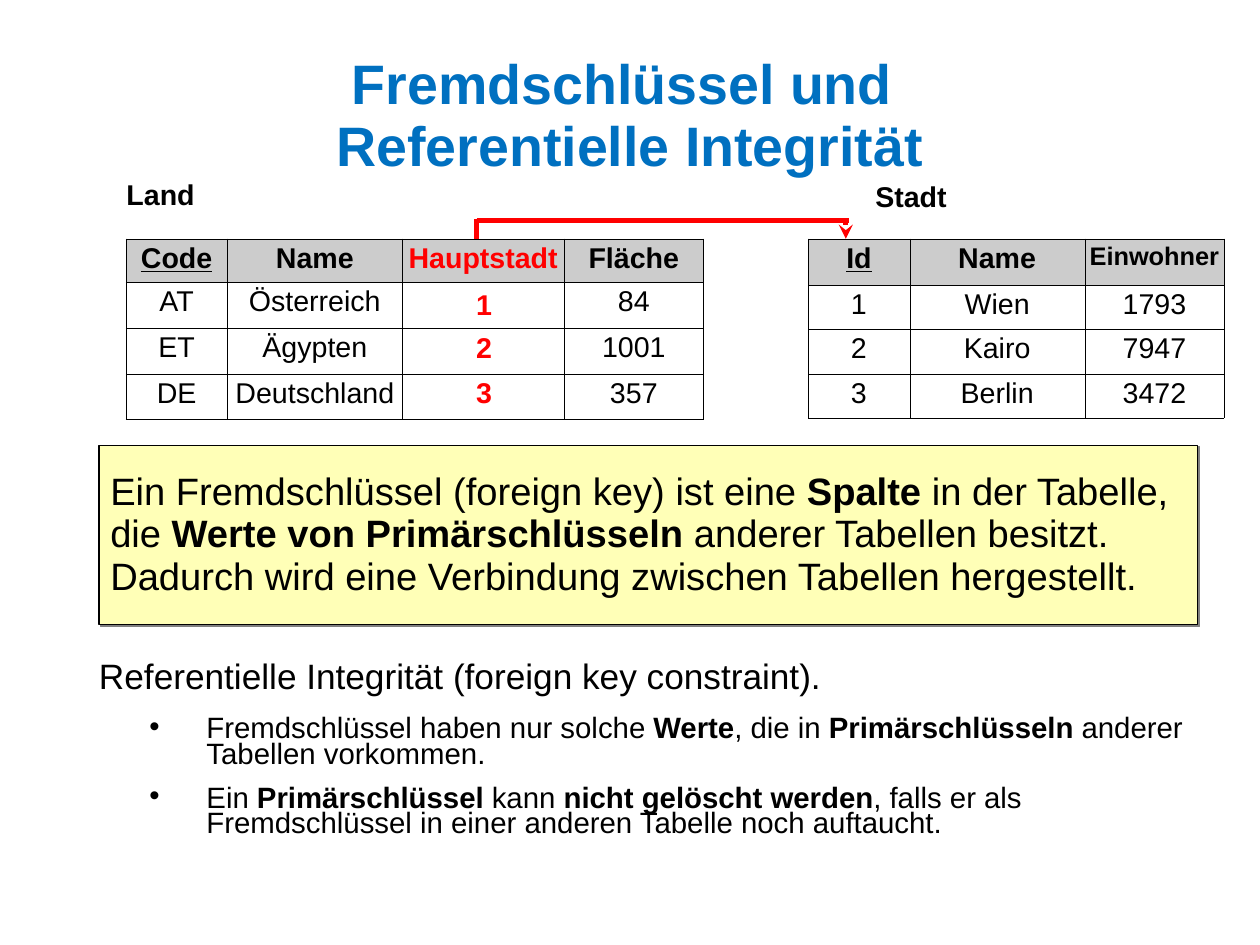
from pptx import Presentation
from pptx.dml.color import RGBColor
from pptx.enum.shapes import MSO_CONNECTOR as LINE, MSO_SHAPE as SHAPE
from pptx.enum.text import MSO_ANCHOR as ANCHOR, MSO_AUTO_SIZE as FIT, PP_ALIGN as ALIGN
from pptx.oxml import parse_xml
from pptx.oxml.ns import nsdecls
from pptx.util import Cm, Inches, Pt

W, H = 28, 21
COL, ROW = W / 100, H / 100
COLORS = {"title": "0070C0", "text": "000000", "key": "FF0000", "head": "CCCCCC",
          "note": "FFFFB7", "shadow": "808080"}

TITLE = "Fremdschlüssel und \vReferentielle Integrität"
NOTE = ("Ein Fremdschlüssel (foreign key) ist eine **Spalte** in der Tabelle, die "
        "**Werte von Primärschlüsseln **anderer Tabellen besitzt. "
        "Dadurch wird eine Verbindung zwischen Tabellen hergestellt.")
RULE_HEAD = "Referentielle Integrität (foreign key constraint)."
RULES = [
    "Fremdschlüssel haben nur solche **Werte**, die in **Primärschlüsseln** "
    "anderer Tabellen vorkommen.",
    "Ein **Primärschlüssel** kann **nicht gelöscht werden**, falls er als "
    "Fremdschlüssel in einer anderen Tabelle noch auftaucht.",
]
LEFT = 7.86
TABLE_TOP = 25.27
WIDTHS = {"Code": 8.04, "Id": 8.04, "Name": 13.9, "Hauptstadt": 12.83,
          "Fläche": 11.07, "Einwohner": 11.07}
HEAD_STYLES = {"Code": {"underline": True}, "Id": {"underline": True},
               "Hauptstadt": {"color": "key"}, "Einwohner": {"size": 16}}
TABLES = [
    (10, (4.6, 4.78), [
        ("Code", "Name", "Hauptstadt", "Fläche"),
        ("AT", "Österreich", "", "84"),
        ("ET", "Ägypten", "", "1001"),
        ("DE", "Deutschland", "", "357")]),
    (64.15, (4.87, 4.7), [
        ("Id", "Name", "Einwohner"),
        ("1", "Wien", "1793"),
        ("2", "Kairo", "7947"),
        ("3", "Berlin", "3472")]),
]
LABELS = [
    ("Land", 9.15, 18.5, 7.5, "text"),
    ("Stadt", 68.58, 18.62, 7.8, "text"),
    ("1", 36.9, 30.15, 3.2, "key"),
    ("2", 36.9, 34.6, 3.2, "key"),
    ("3", 36.9, 39.42, 3.2, "key"),
]
LINK = [
    (37.82, 23.22, 37.82, TABLE_TOP, False),
    (37.82, 23.34, 67.4, 23.34, False),
    (67.13, 23.22, 67.13, TABLE_TOP, True),
]


def rgb(name):
    return RGBColor.from_string(COLORS[name])


def place(x, y, w, h):
    return [Cm(v) for v in (x * COL, y * ROW, w * COL, h * ROW)]


def xml(tag, attrs="", inner=""):
    return parse_xml(f"<a:{tag} {nsdecls('a')} {attrs}>{inner}</a:{tag}>")


def solid(name):
    return f'<a:solidFill><a:srgbClr val="{COLORS[name]}"/></a:solidFill>'


def setup(frame, margins, **props):
    for side, value in zip(("left", "top", "right", "bottom"), margins):
        setattr(frame, f"margin_{side}", Inches(value))
    for name, value in props.items():
        setattr(frame, name, value)


def write(p, text, size=18, color="text", bold=False, underline=False, **props):
    for name, value in {"line_spacing": 0.93, **props}.items():
        setattr(p, name, value)
    for i, part in enumerate(text.split("**")):
        if not part:
            continue
        r = p.add_run()
        r.text = part
        style = {"name": "Arial", "size": Pt(size), "bold": bold or i % 2 == 1,
                 "underline": underline}
        for name, value in style.items():
            setattr(r.font, name, value)
        r.font.color.rgb = rgb(color)


def add_title(s):
    tf = s.shapes.add_textbox(*place(5, 4, 90, 16.7)).text_frame
    setup(tf, (0, 0, 0, 0), word_wrap=True, vertical_anchor=ANCHOR.MIDDLE)
    p = tf.paragraphs[0]
    lines = TITLE.split("\v")
    style = {"size": 35, "color": "title", "bold": True, "alignment": ALIGN.CENTER}
    write(p, lines[0], **style)
    p.add_line_break()
    write(p, lines[1], **style)


def add_rules(s):
    tf = s.shapes.add_textbox(*place(LEFT, 69.95, 90, 19)).text_frame
    setup(tf, (0, 0.03, 0, 0), word_wrap=True)
    write(tf.paragraphs[0], RULE_HEAD, 22.2, line_spacing=0.73, space_after=Pt(14.3))
    for rule in RULES:
        p = tf.add_paragraph()
        pr = p._p.get_or_add_pPr()
        pr.set("marL", str(Inches(0.94)))
        pr.set("indent", str(Inches(-0.5)))
        pr.append(xml("buClr", "", f'<a:srgbClr val="{COLORS["text"]}"/>'))
        pr.append(xml("buFont", 'typeface="Arial"'))
        pr.append(xml("buChar", 'char="•"'))
        write(p, rule, 18.5, level=1, line_spacing=0.73, space_after=Pt(11.4))


def add_table(s, left, heights, rows):
    widths = [WIDTHS[name] for name in rows[0]]
    heights = [heights[0]] + [heights[1]] * (len(rows) - 1)
    area = place(left, TABLE_TOP, sum(widths), sum(heights))
    table = s.shapes.add_table(len(rows), len(widths), *area).table
    table.first_row = table.horz_banding = False
    for column, width in zip(table.columns, widths):
        column.width = Cm(width * COL)
    for i, (height, texts) in enumerate(zip(heights, rows)):
        table.rows[i].height = Cm(height * ROW)
        for j, text in enumerate(texts):
            cell = table.cell(i, j)
            setup(cell, (0.04, 0.05, 0.04, 0.05))
            for side in "LRTB":
                cell._tc.get_or_add_tcPr().append(
                    xml(f"ln{side}", f'w="{Pt(0.06)}"', solid("text")))
            style = {}
            if i == 0:
                cell.fill.solid()
                cell.fill.fore_color.rgb = rgb("head")
                style = {"bold": True, **HEAD_STYLES.get(text, {})}
            else:
                cell.fill.background()
            write(cell.text_frame.paragraphs[0], text, alignment=ALIGN.CENTER, **style)


def add_label(s, text, x, y, w, color):
    tf = s.shapes.add_textbox(*place(x, y, w, 4.6)).text_frame
    setup(tf, (0.1, 0.05, 0.1, 0.05), word_wrap=False, auto_size=FIT.SHAPE_TO_FIT_TEXT)
    write(tf.paragraphs[0], text, color=color, bold=True)


def add_link(s, x1, y1, x2, y2, arrow):
    line = s.shapes.add_connector(LINE.STRAIGHT, *place(x1, y1, x2, y2))
    line.line.color.rgb = rgb("key")
    line.line.width = Pt(3)
    if arrow:
        line.line._get_or_add_ln().append(xml("tailEnd", 'type="stealth"'))
    line._element.spPr.append(xml("effectLst"))


def add_note(s):
    sp = s.shapes.add_shape(SHAPE.RECTANGLE, *place(LEFT, 47.12, 87.2, 19))
    sp.fill.solid()
    sp.fill.fore_color.rgb = rgb("note")
    sp.line.color.rgb = rgb("text")
    sp.line.width = Pt(0.75)
    sp._element.spPr.append(xml("effectLst", "", (
        f'<a:outerShdw dist="{Pt(1.4)}" dir="2700000" algn="ctr" rotWithShape="0">'
        f'<a:srgbClr val="{COLORS["shadow"]}"/></a:outerShdw>')))
    setup(sp.text_frame, (0.1, 0.05, 0.1, 0.05), word_wrap=True,
          vertical_anchor=ANCHOR.MIDDLE)
    write(sp.text_frame.paragraphs[0], NOTE, 24, alignment=ALIGN.LEFT)


def main():
    prs = Presentation()
    prs.slide_width, prs.slide_height = Cm(W), Cm(H)
    s = prs.slides.add_slide(prs.slide_layouts[6])
    add_title(s)
    add_rules(s)
    for table in TABLES:
        add_table(s, *table)
    for label in LABELS[:2]:
        add_label(s, *label)
    for link in LINK:
        add_link(s, *link)
    for label in LABELS[2:]:
        add_label(s, *label)
    add_note(s)
    prs.save("out.pptx")


if __name__ == "__main__":
    main()
